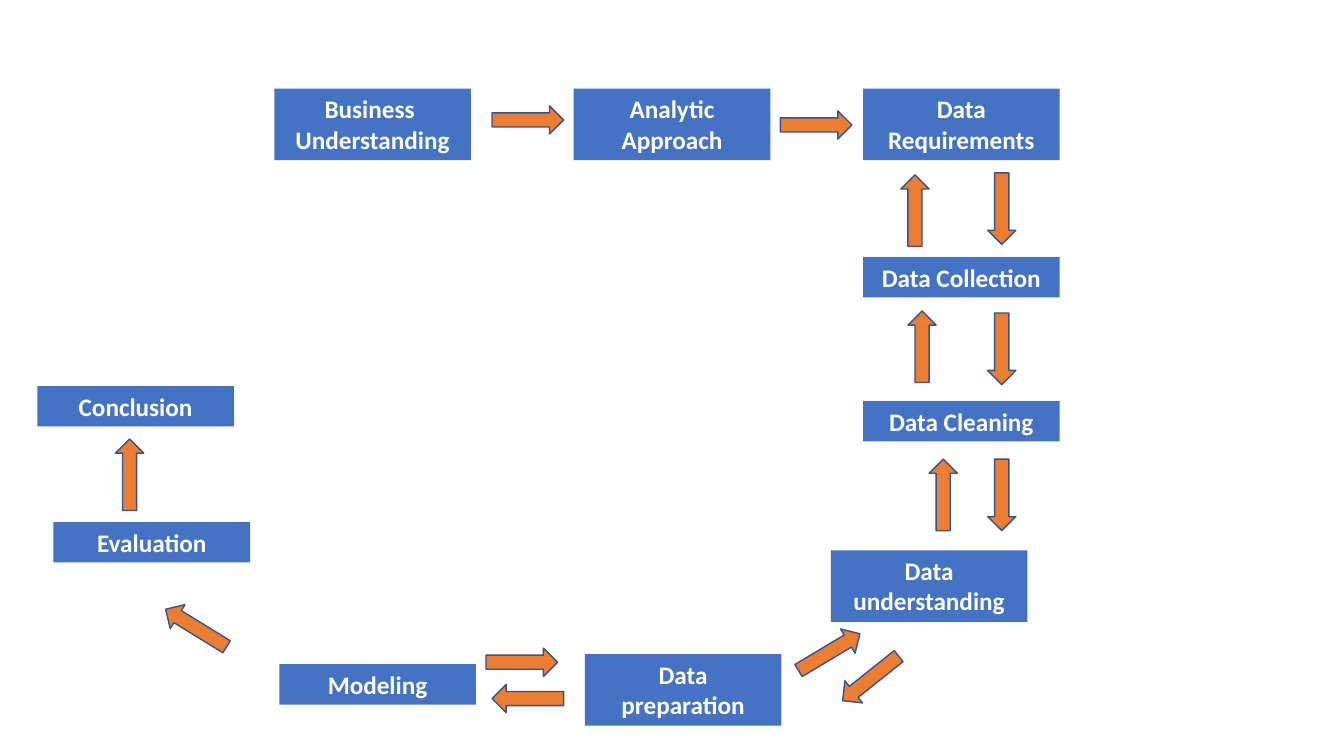
from pptx import Presentation
from pptx.dml.color import RGBColor
from pptx.enum import shapes, text
from pptx.util import Inches, Pt

COLOURS = {"box": "4472C4", "label": "FFFFFF", "arrow": "ED7D31", "outline": "325491"}
FONT = "Calibri"
BOX_WIDTH = 1.95
LINE_HEIGHTS = {1: 0.4, 2: 0.71}
ARROW_WIDTH, ARROW_HEIGHT = 0.71, 0.28
RIGHT, DOWN, LEFT, UP = 0, 90, 180, 270

# Left, top, lines of text in the box, paragraphs
STAGES = [
    (2.72, 0.88, 2, ["Business ", "Understanding"]),
    (5.69, 0.88, 2, ["Analytic Approach"]),
    (8.56, 0.88, 2, ["Data Requirements"]),
    (8.56, 2.55, 1, ["Data Collection"]),
    (8.56, 3.98, 1, ["Data Cleaning"]),
    (8.24, 5.46, 2, ["Data understanding"]),
    (5.8, 6.49, 2, ["Data preparation"]),
    (2.77, 6.59, 1, ["Modeling"]),
    (0.53, 5.18, 1, ["Evaluation"]),
    (0.37, 3.83, 1, ["Conclusion"]),
]

# Left and top before turning, clockwise angle
ARROWS = [
    (4.88, 1.05, RIGHT),
    (7.74, 1.1, RIGHT),
    (9.58, 1.93, DOWN),
    (9.58, 3.32, DOWN),
    (9.58, 4.77, DOWN),
    (8.28, 6.59, 141.5),
    (4.88, 6.79, LEFT),
    (1.59, 6.09, 211.6),
    (0.93, 4.57, UP),
    (4.82, 6.43, RIGHT),
    (7.87, 6.33, 329.1),
    (9, 4.77, UP),
    (8.79, 3.3, UP),
    (8.72, 1.95, UP),
]


def colour(name):
    return RGBColor.from_string(COLOURS[name])


def add_filled_shape(page, kind, left, top, width, height, fill):
    shape = page.shapes.add_shape(
        kind, Inches(left), Inches(top), Inches(width), Inches(height))
    shape.shadow.inherit = False
    shape.fill.solid()
    shape.fill.fore_color.rgb = colour(fill)
    return shape


def add_stage(page, left, top, lines, paragraphs):
    box = add_filled_shape(page, shapes.MSO_SHAPE.RECTANGLE, left, top,
                           BOX_WIDTH, LINE_HEIGHTS[lines], "box")
    box.line.fill.background()
    frame = box.text_frame
    frame.word_wrap = True
    frame.auto_size = text.MSO_AUTO_SIZE.SHAPE_TO_FIT_TEXT
    frame.vertical_anchor = text.MSO_ANCHOR.TOP
    for number, words in enumerate(paragraphs):
        para = frame.add_paragraph() if number else frame.paragraphs[0]
        para.alignment = text.PP_ALIGN.CENTER
        span = para.add_run()
        span.text = words
        span.font.name = FONT
        span.font.size = Pt(18)
        span.font.bold = True
        span.font.color.rgb = colour("label")


def add_arrow(page, left, top, angle):
    arrow = add_filled_shape(page, shapes.MSO_SHAPE.RIGHT_ARROW, left, top,
                             ARROW_WIDTH, ARROW_HEIGHT, "arrow")
    arrow.rotation = angle
    arrow.line.color.rgb = colour("outline")
    arrow.line.width = Pt(1)


def main():
    deck = Presentation()
    deck.slide_width, deck.slide_height = Inches(13.33), Inches(7.5)
    blank_layout = deck.slide_layouts[6]
    page = deck.slides.add_slide(blank_layout)
    for stage in STAGES:
        add_stage(page, *stage)
    for arrow in ARROWS:
        add_arrow(page, *arrow)
    deck.save("out.pptx")


if __name__ == "__main__":
    main()
